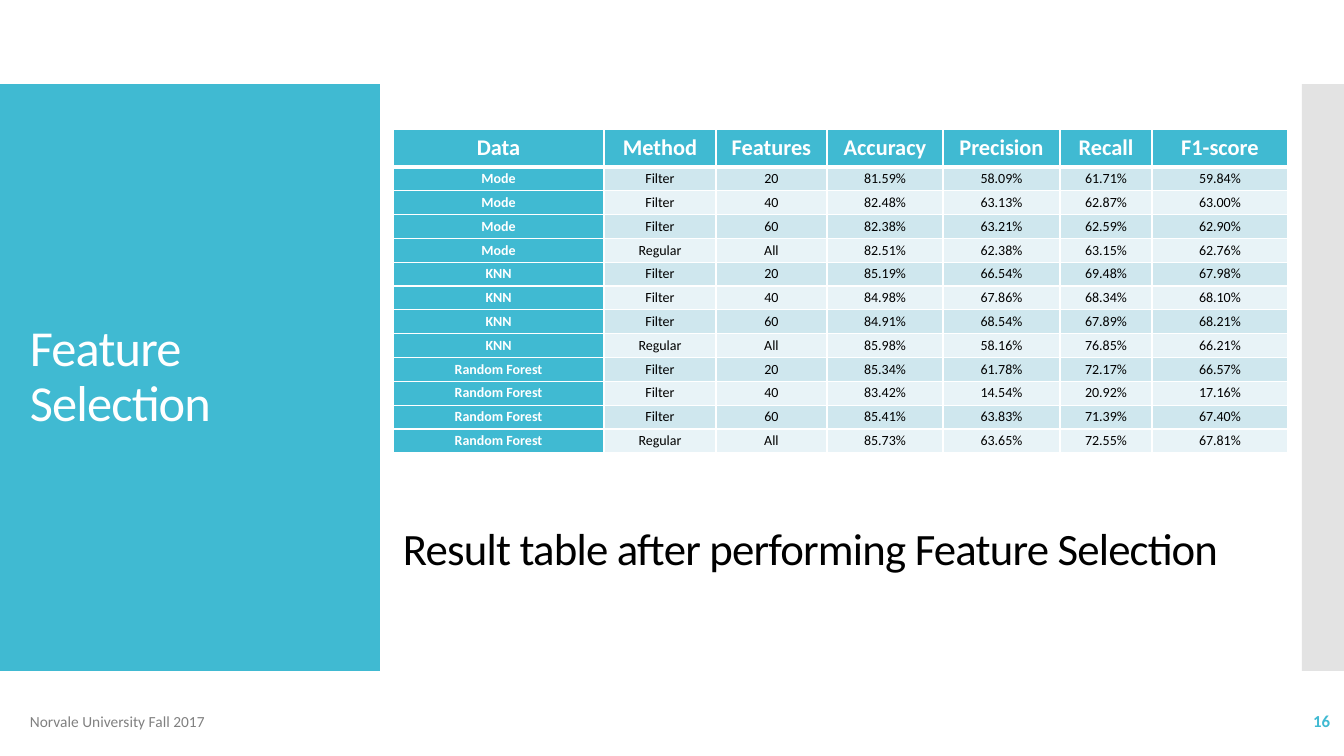
"""Build the Feature Selection results slide."""
from lxml import etree
from pptx import Presentation
from pptx import util as u
from pptx.dml.color import RGBColor
from pptx.enum import shapes, text
from pptx.oxml import ns

EMU_PER_PX = 914400 / 100.8
FONT = "Calibri"
TEAL = RGBColor(0x40, 0xBA, 0xD2)
GRAY = RGBColor(0xC8, 0xC8, 0xC8)
FOOTER_GRAY = RGBColor(0x80, 0x80, 0x80)
BAND_DARK = RGBColor(0xCF, 0xE7, 0xEE)
BAND_LIGHT = RGBColor(0xE8, 0xF3, 0xF7)
WHITE = RGBColor(0xFF, 0xFF, 0xFF)
BLACK = RGBColor(0x00, 0x00, 0x00)

HEADER = ["Data", "Method", "Features", "Accuracy", "Precision", "Recall", "F1-score"]
SETTINGS = [("Filter", "20"), ("Filter", "40"), ("Filter", "60"), ("Regular", "All")]
SCORES = {
    "Mode": [
        ("81.59%", "58.09%", "61.71%", "59.84%"),
        ("82.48%", "63.13%", "62.87%", "63.00%"),
        ("82.38%", "63.21%", "62.59%", "62.90%"),
        ("82.51%", "62.38%", "63.15%", "62.76%"),
    ],
    "KNN": [
        ("85.19%", "66.54%", "69.48%", "67.98%"),
        ("84.98%", "67.86%", "68.34%", "68.10%"),
        ("84.91%", "68.54%", "67.89%", "68.21%"),
        ("85.98%", "58.16%", "76.85%", "66.21%"),
    ],
    "Random Forest": [
        ("85.34%", "61.78%", "72.17%", "66.57%"),
        ("83.42%", "14.54%", "20.92%", "17.16%"),
        ("85.41%", "63.83%", "71.39%", "67.40%"),
        ("85.73%", "63.65%", "72.55%", "67.81%"),
    ],
}
COLUMN_WIDTHS = [211, 112, 111, 116, 117, 92, 136]
TABLE_LEFT, TABLE_TOP, TABLE_HEIGHT, HEADER_HEIGHT = 393, 129, 324, 38


def px(length):
    """Turn a length in px into EMU."""
    return u.Emu(round(length * EMU_PER_PX))


def set_attributes(target, values):
    """Set each attribute named in a dict."""
    for name, value in values.items():
        setattr(target, name, value)


def write(paragraph, words, size, color, bold=False, spacing=None):
    """Write one formatted run into a paragraph."""
    run = paragraph.add_run()
    run.text = words
    set_attributes(run.font, {"name": FONT, "size": u.Pt(size), "bold": bold})
    run.font.color.rgb = color
    if spacing is not None:
        run._r.get_or_add_rPr().set("spc", str(spacing))


def add_panel(slide, box, color, opacity=100):
    """Add a borderless rectangle."""
    shape = slide.shapes.add_shape(shapes.MSO_SHAPE.RECTANGLE, *map(px, box))
    shape.shadow.inherit = False
    shape.fill.solid()
    shape.fill.fore_color.rgb = color
    shape.line.fill.background()
    if opacity < 100:
        color_element = shape._element.spPr.find(".//" + ns.qn("a:srgbClr"))
        etree.SubElement(color_element, ns.qn("a:alpha"), val=str(opacity * 1000))


def add_text(slide, box, words, font, frame=None, layout=None):
    """Add a wrapping text box with one paragraph."""
    text_frame = slide.shapes.add_textbox(*map(px, box)).text_frame
    set_attributes(text_frame, {"word_wrap": True, **(frame or {})})
    paragraph = text_frame.paragraphs[0]
    set_attributes(paragraph, layout or {})
    write(paragraph, words, **font)


def add_borders(cell, widths):
    """Draw white borders whose widths in points are keyed by side."""
    properties = cell._tc.get_or_add_tcPr()
    for side, width in widths.items():
        line = etree.SubElement(properties, ns.qn("a:ln" + side), w=str(u.Pt(width)))
        fill = etree.SubElement(line, ns.qn("a:solidFill"))
        etree.SubElement(fill, ns.qn("a:srgbClr"), val=str(WHITE))


def fill_cell(cell, words, row, column):
    """Style and fill a cell by its place in the table."""
    is_label = row == 0 or column == 0
    add_borders(cell, {"L": 1, "R": 1, "T": 3 if row == 1 else 1, "B": 3 if row == 0 else 1})
    cell.fill.solid()
    cell.fill.fore_color.rgb = TEAL if is_label else BAND_DARK if row % 2 else BAND_LIGHT
    set_attributes(cell, {
        "margin_left": px(13), "margin_right": px(13), "margin_top": 0, "margin_bottom": 0,
        "vertical_anchor": text.MSO_ANCHOR.MIDDLE,
    })
    paragraph = cell.text_frame.paragraphs[0]
    paragraph.alignment = text.PP_ALIGN.CENTER
    write(paragraph, words, 10 if row else 16, WHITE if is_label else BLACK, is_label)


def add_results_table(slide):
    """Add the table of scores for each data set and method."""
    rows = [HEADER] + [
        [data, *setting, *scores]
        for data, results in SCORES.items()
        for setting, scores in zip(SETTINGS, results)
    ]
    box = TABLE_LEFT, TABLE_TOP, sum(COLUMN_WIDTHS), TABLE_HEIGHT
    table = slide.shapes.add_table(len(rows), len(HEADER), *map(px, box)).table
    for column, width in zip(table.columns, COLUMN_WIDTHS):
        column.width = px(width)
    body_height = (TABLE_HEIGHT - HEADER_HEIGHT) / (len(rows) - 1)
    for row, values in enumerate(rows):
        table.rows[row].height = px(body_height if row else HEADER_HEIGHT)
        for column, words in enumerate(values):
            fill_cell(table.cell(row, column), words, row, column)


def main():
    """Build and save the presentation."""
    presentation = Presentation()
    set_attributes(presentation, {"slide_width": px(1344), "slide_height": px(756)})
    slide = presentation.slides.add_slide(presentation.slide_layouts[6])
    bottom = {"vertical_anchor": text.MSO_ANCHOR.BOTTOM}
    middle = {"vertical_anchor": text.MSO_ANCHOR.MIDDLE}
    tight = {"line_spacing": 0.9}

    add_panel(slide, (0, 84, 380, 587), TEAL)
    add_panel(slide, (1302, 84, 42, 587), GRAY, opacity=50)
    add_text(slide, (393, 456, 895, 124), "Result table after performing Feature Selection",
             {"size": 32, "color": BLACK, "spacing": -60}, bottom, tight)
    add_results_table(slide)
    add_text(slide, (20, 701, 651, 40), "Norvale University Fall 2017",
             {"size": 11, "color": FOOTER_GRAY}, middle)
    add_text(slide, (1172, 701, 168, 40), "16", {"size": 12, "color": TEAL, "bold": True},
             middle, {"alignment": text.PP_ALIGN.RIGHT})
    add_text(slide, (20, 301, 310, 136), "Feature Selection",
             {"size": 36, "color": WHITE, "spacing": -60}, bottom, tight)
    presentation.save("out.pptx")


if __name__ == "__main__":
    main()
